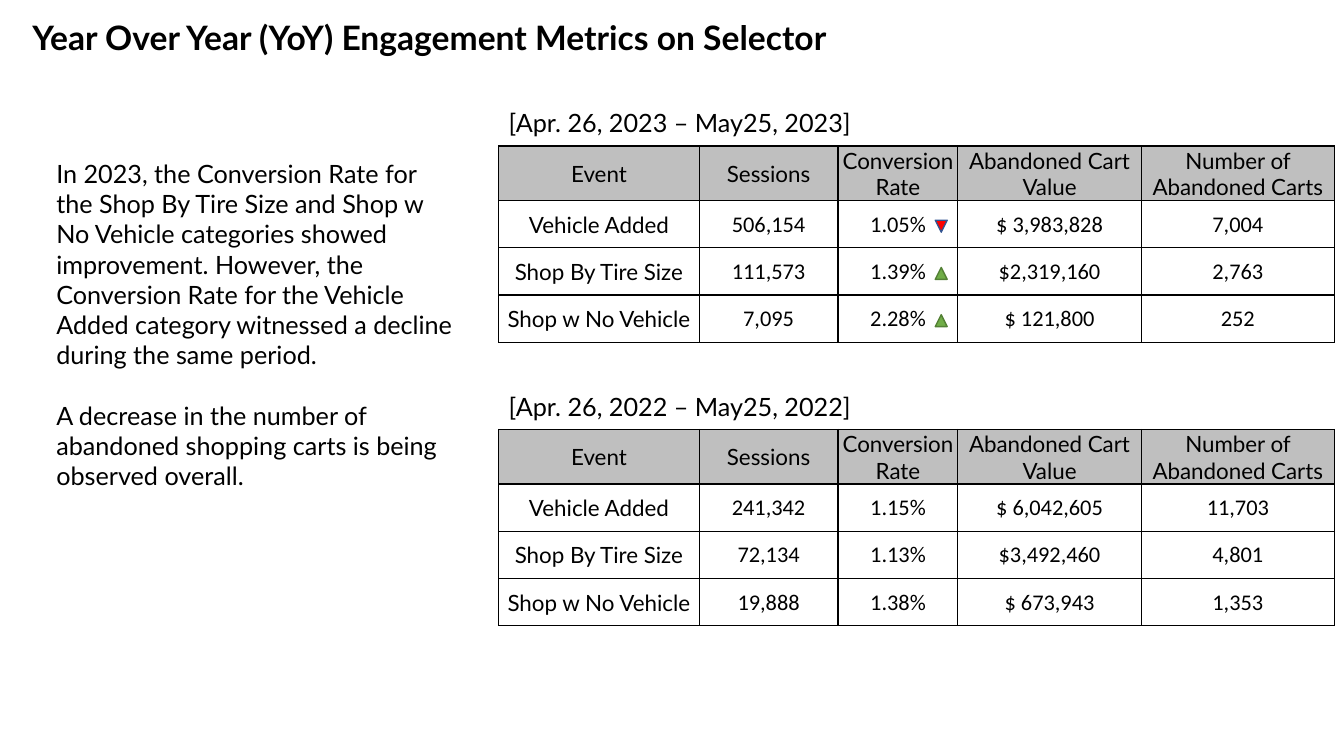
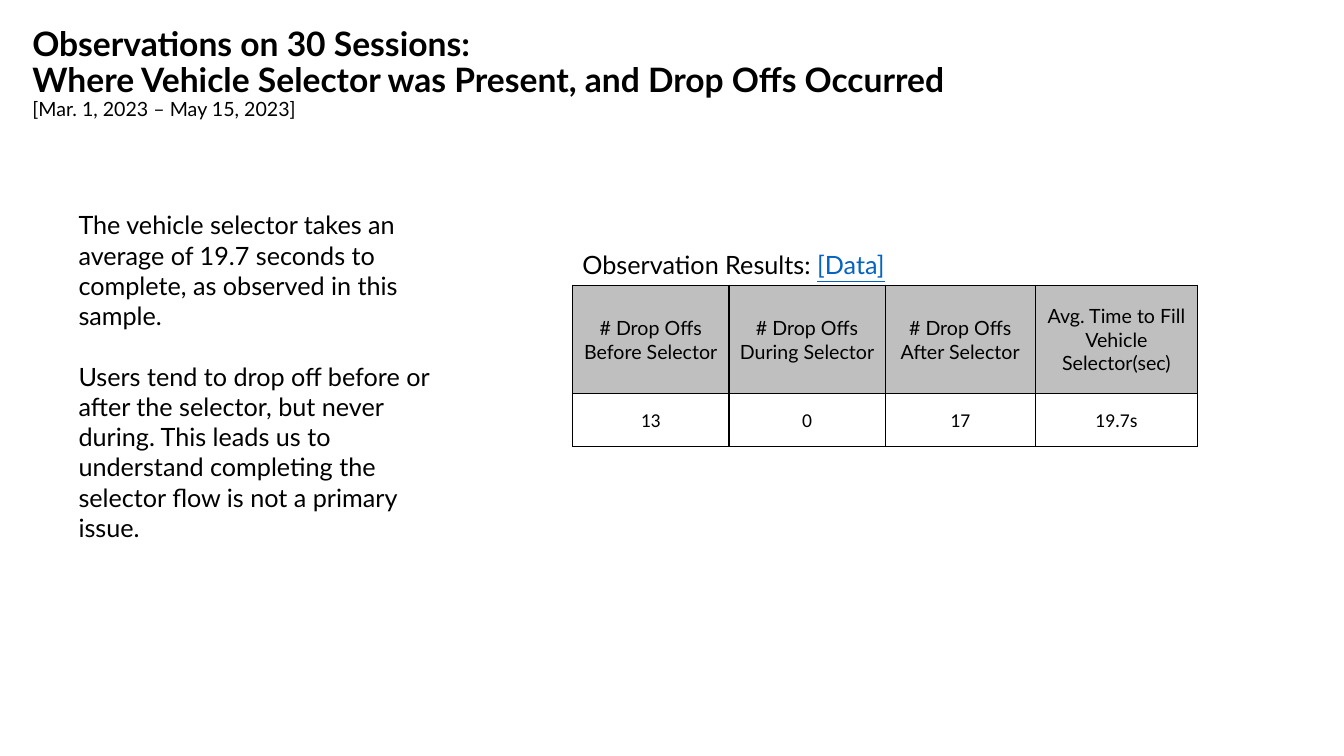
from dataclasses import dataclass

from lxml import etree
from pptx import Presentation
from pptx.dml.color import RGBColor
from pptx.enum.shapes import MSO_SHAPE
from pptx.enum.text import MSO_ANCHOR, MSO_AUTO_SIZE, PP_ALIGN
from pptx.oxml.ns import qn
from pptx.util import Cm, Pt

LEFT, CENTER = PP_ALIGN.LEFT, PP_ALIGN.CENTER
TOP, MIDDLE = MSO_ANCHOR.TOP, MSO_ANCHOR.MIDDLE
NO_FIT, GROW = MSO_AUTO_SIZE.NONE, MSO_AUTO_SIZE.SHAPE_TO_FIT_TEXT
TRIANGLE = MSO_SHAPE.ISOSCELES_TRIANGLE

TEXT_FONT, NUMBER_FONT = "Lato", "Calibri"
BLACK, HEADER_GREY, LINK_BLUE = "000000", "BFBFBF", "0563C1"
TITLE_ONLY = 5
CELL_MARGIN = 0.02
MARKER_SIZE = 0.3


@dataclass(frozen=True)
class Box:
    left: float
    top: float
    width: float
    height: float


@dataclass(frozen=True)
class Trend:
    fill: str
    line: str
    rotation: int


@dataclass(frozen=True)
class Panel:
    caption: str
    caption_box: Box
    left: float
    top: float
    columns: tuple[float, ...]
    header_height: float
    row_height: float
    size: int
    rows: list[list[str]]
    link: str = ""
    trends: tuple[Trend, ...] = ()


UP = Trend("70AD47", "538035", 0)
DOWN = Trend("FF0000", "325491", 180)
MARKER_LEFT, MARKER_DROP = 23.57, 0.5

METRICS_LEFT = 12.57
METRICS_COLUMNS = (5.05, 3.5, 3.02, 4.62, 4.87)
METRICS_HEADER = ["Event", "Sessions", "Conversion Rate",
                  "Abandoned Cart Value", "Number of Abandoned Carts"]


def metrics_panel(caption: str, top: float, rows: list[list[str]],
                  trends: tuple[Trend, ...] = ()) -> Panel:
    return Panel(caption, Box(METRICS_LEFT, top - 1.09, 16.94, 1.02),
                 METRICS_LEFT, top, METRICS_COLUMNS, 1.37, 1.19, 16,
                 [METRICS_HEADER, *rows], trends=trends)


METRICS = [
    metrics_panel("[Apr. 26, 2023 – May25, 2023]", 3.68, [
        ["Vehicle Added", "506,154", "1.05%", "$ 3,983,828", "7,004"],
        ["Shop By Tire Size", "111,573", "1.39%", "$2,319,160", "2,763"],
        ["Shop w No Vehicle", "7,095", "2.28%", "$ 121,800", "252"],
    ], (DOWN, UP, UP)),
    metrics_panel("[Apr. 26, 2022 – May25, 2022]", 10.82, [
        ["Vehicle Added", "241,342", "1.15%", "$ 6,042,605", "11,703"],
        ["Shop By Tire Size", "72,134", "1.13%", "$3,492,460", "4,801"],
        ["Shop w No Vehicle", "19,888", "1.38%", "$ 673,943", "1,353"],
    ]),
]

OBSERVATIONS = Panel(
    "Observation Results: ", Box(14.43, 6.17, 12.78, 1.02),
    14.43, 7.19, (3.94, 3.94, 3.78, 4.09), 2.72, 1.35, 14,
    [["# Drop Offs Before Selector", "# Drop Offs During Selector",
      "# Drop Offs After Selector", "Avg. Time to Fill Vehicle Selector(sec)"],
     ["13", "0", "17", "19.7s"]],
    link="[Data]")


def rgb(value: str) -> RGBColor:
    return RGBColor.from_string(value)


def style(font, size: int, name: str = TEXT_FONT, bold: bool = False) -> None:
    font.size = Pt(size)
    font.name = name
    font.bold = bold
    font.color.rgb = rgb(BLACK)


def add_title(s, box: Box, lines: list[str], subtitle: str = "") -> None:
    sp = s.shapes.title
    sp.left, sp.top = Cm(box.left), Cm(box.top)
    sp.width, sp.height = Cm(box.width), Cm(box.height)
    tf = sp.text_frame
    tf.word_wrap = True
    tf.auto_size = NO_FIT
    tf.vertical_anchor = TOP
    tf.text = "\n".join(lines + [subtitle] if subtitle else lines)
    for i, p in enumerate(tf.paragraphs):
        p.alignment = LEFT
        p.line_spacing = 0.9
        main = i < len(lines)
        style(p.font, 24 if main else 14, bold=main)


def add_text(s, box: Box, paragraphs: list[str]):
    sp = s.shapes.add_textbox(Cm(box.left), Cm(box.top), Cm(box.width), Cm(box.height))
    tf = sp.text_frame
    tf.word_wrap = True
    tf.auto_size = GROW
    tf.text = "\n".join(paragraphs)
    for p in tf.paragraphs:
        style(p.font, 18)
    for p in tf.paragraphs[:-1]:
        p.space_after = Pt(21.6)
    return tf


def add_borders(cell) -> None:
    properties = cell._tc.get_or_add_tcPr()
    for side in ("a:lnL", "a:lnR", "a:lnT", "a:lnB"):
        line = etree.SubElement(properties, qn(side), w=str(Pt(1)))
        fill = etree.SubElement(line, qn("a:solidFill"))
        etree.SubElement(fill, qn("a:srgbClr"), val=BLACK)


def fill_cell(cell, text: str, size: int, header: bool) -> None:
    add_borders(cell)
    if header:
        cell.fill.solid()
        cell.fill.fore_color.rgb = rgb(HEADER_GREY)
    else:
        cell.fill.background()
    cell.margin_left = cell.margin_right = cell.margin_top = Cm(CELL_MARGIN)
    cell.margin_bottom = 0
    cell.vertical_anchor = MIDDLE
    cell.text = text
    p = cell.text_frame.paragraphs[0]
    p.alignment = CENTER
    label = header or text[0].isalpha()
    style(p.font, size, TEXT_FONT if label else NUMBER_FONT)


def add_marker(s, trend: Trend, top: float) -> None:
    sp = s.shapes.add_shape(TRIANGLE, Cm(MARKER_LEFT), Cm(top),
                            Cm(MARKER_SIZE), Cm(MARKER_SIZE))
    sp.shadow.inherit = False
    sp.rotation = trend.rotation
    sp.fill.solid()
    sp.fill.fore_color.rgb = rgb(trend.fill)
    sp.line.color.rgb = rgb(trend.line)
    sp.line.width = Pt(1)


def add_panel(s, panel: Panel) -> None:
    heights = [panel.header_height] + [panel.row_height] * (len(panel.rows) - 1)
    table = s.shapes.add_table(
        len(heights), len(panel.columns), Cm(panel.left), Cm(panel.top),
        Cm(sum(panel.columns)), Cm(sum(heights))).table
    table.first_row = table.horz_banding = False
    for column, width in zip(table.columns, panel.columns):
        column.width = Cm(width)
    for i, (row, height) in enumerate(zip(table.rows, heights)):
        row.height = Cm(height)
        for cell, text in zip(row.cells, panel.rows[i]):
            fill_cell(cell, text, panel.size, i == 0)

    tf = add_text(s, panel.caption_box, [panel.caption])
    if panel.link:
        r = tf.paragraphs[0].add_run()
        r.text = panel.link
        r.font.underline = True
        r.font.color.rgb = rgb(LINK_BLUE)

    for i, trend in enumerate(panel.trends):
        add_marker(s, trend, panel.top + panel.header_height
                   + i * panel.row_height + MARKER_DROP)


def add_slide(prs):
    return prs.slides.add_slide(prs.slide_layouts[TITLE_ONLY])


def build_metrics(prs) -> None:
    s = add_slide(prs)
    add_title(s, Box(0.56, 0.41, 32.69, 1.63),
              ["Year Over Year (YoY) Engagement Metrics on Selector"])
    add_text(s, Box(1.17, 3.86, 10.54, 8.71), [
        "In 2023, the Conversion Rate for the Shop By Tire Size and Shop w No Vehicle "
        "categories showed improvement. However, the Conversion Rate for the Vehicle "
        "Added category witnessed a decline during the same period.",
        "A decrease in the number of abandoned shopping carts is being observed overall.",
    ])
    for panel in METRICS:
        add_panel(s, panel)


def build_observations(prs) -> None:
    s = add_slide(prs)
    add_title(s, Box(0.56, 0.56, 32.51, 1.63),
              ["Observations on 30 Sessions:",
               "Where Vehicle Selector was Present, and Drop Offs Occurred"],
              "[Mar. 1, 2023 – May 15, 2023]")
    add_text(s, Box(1.73, 5.16, 9.86, 8.71), [
        "The vehicle selector takes an average of 19.7 seconds to complete, "
        "as observed in this sample.",
        "Users tend to drop off before or after the selector, but never during. "
        "This leads us to understand completing the selector flow is not a primary issue.",
    ])
    add_panel(s, OBSERVATIONS)


def main() -> None:
    prs = Presentation()
    prs.slide_width, prs.slide_height = Cm(33.87), Cm(19.05)
    build_metrics(prs)
    build_observations(prs)
    prs.save("out.pptx")


if __name__ == "__main__":
    main()
